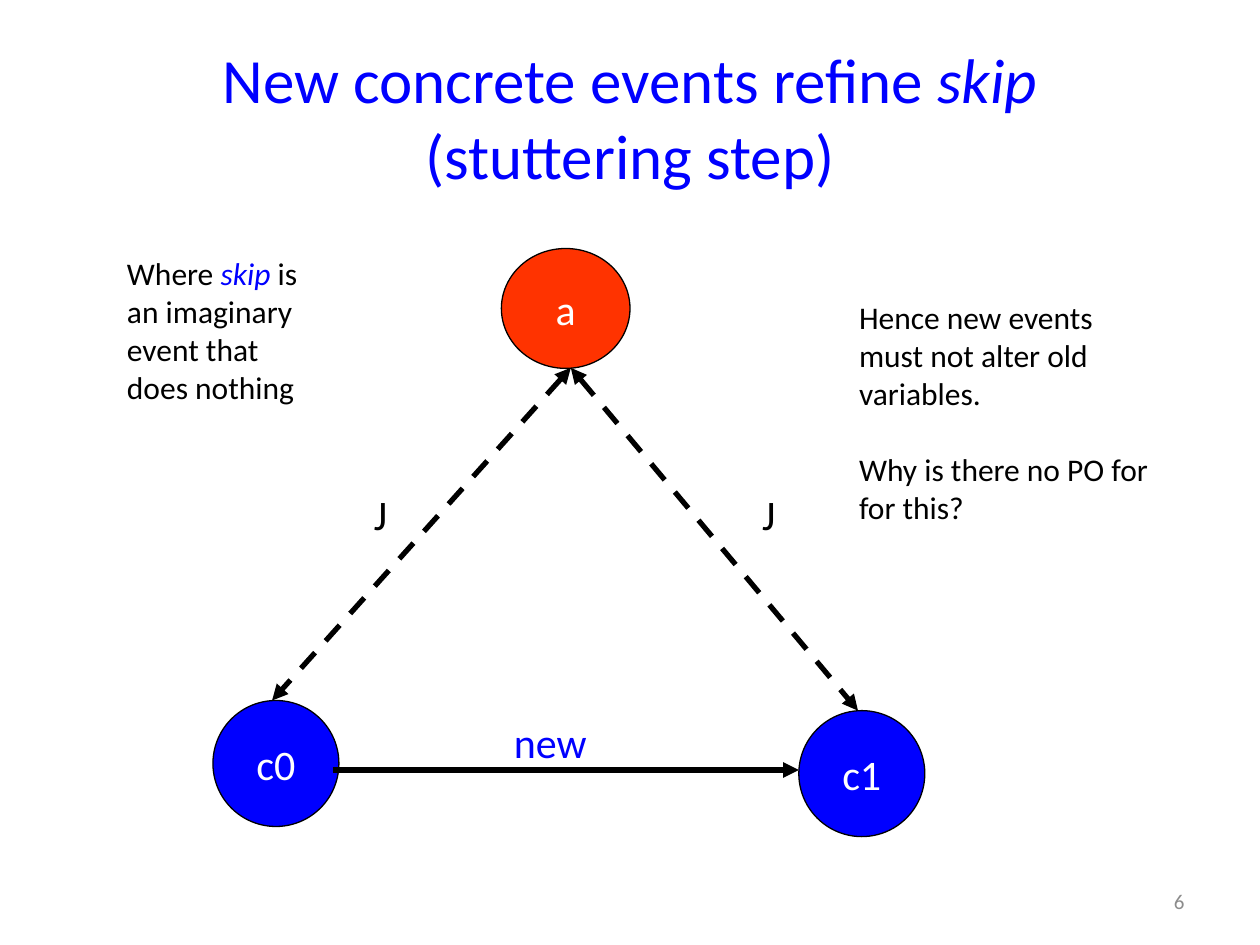
"""Build the slide on new concrete events that refine skip."""
from lxml.etree import SubElement
from pptx import Presentation
from pptx.dml.color import RGBColor
from pptx.enum.dml import MSO_LINE
from pptx.enum.shapes import MSO_CONNECTOR, MSO_SHAPE
from pptx.enum.text import MSO_ANCHOR, MSO_AUTO_SIZE, PP_ALIGN
from pptx.oxml.ns import qn
from pptx.util import Pt

COLORS = {"blue": "0000FF", "red": "FF3300", "black": "000000", "white": "FFFFFF", "gray": "8C8C8C"}


def rgb(name):
    return RGBColor.from_string(COLORS[name])


def write(paragraph, runs, size, color, align=PP_ALIGN.LEFT):
    paragraph.alignment = align
    paragraph.font.name = "Calibri"
    paragraph.font.size = Pt(size)
    paragraph.font.color.rgb = rgb(color)
    for text, italic in runs:
        run = paragraph.add_run()
        run.text = text
        if italic:
            run.font.italic = True
            run.font.color.rgb = rgb("blue")


prs = Presentation()
prs.slide_width, prs.slide_height = Pt(720), Pt(540)
slide = prs.slides.add_slide(prs.slide_layouts[5])
shapes = slide.shapes

title = shapes.title
title.left, title.top, title.width, title.height = Pt(36), Pt(21.6), Pt(648), Pt(90)
title.text_frame.vertical_anchor = MSO_ANCHOR.MIDDLE
heading = title.text_frame.paragraphs[0]
write(heading, [("New concrete events refine ", False), ("skip", True)], 36, "blue", PP_ALIGN.CENTER)
heading.add_line_break()
heading.add_run().text = "(stuttering step)"

states = [
    ("a", 286.5, 142, 73.5, 68.5, "red"),
    ("c0", 121.7, 400.3, 72, 72, "blue"),
    ("c1", 456.5, 406.1, 72, 72, "blue"),
]
for name, left, top, width, height, color in states:
    state = shapes.add_shape(MSO_SHAPE.OVAL, Pt(left), Pt(top), Pt(width), Pt(height))
    state.shadow.inherit = False
    state.fill.solid()
    state.fill.fore_color.rgb = rgb(color)
    state.line.color.rgb = rgb("black")
    state.line.width = Pt(0.75)
    state.text_frame.word_wrap = False
    state.text_frame.vertical_anchor = MSO_ANCHOR.MIDDLE
    write(state.text_frame.paragraphs[0], [(name, False)], 24, "white", PP_ALIGN.CENTER)

apex = (326.2, 210.2)
arrows = [
    ((190.1, 440), (456.5, 440), False),
    (apex, (155.5, 400.3), True),
    (apex, (490.3, 406.1), True),
]
for start, end, is_invariant in arrows:
    arrow = shapes.add_connector(MSO_CONNECTOR.STRAIGHT, *map(Pt, start + end))
    arrow.line.color.rgb = rgb("black")
    arrow.line.width = Pt(3)
    if is_invariant:
        arrow.line.dash_style = MSO_LINE.DASH
    for tip in ("headEnd", "tailEnd") if is_invariant else ("tailEnd",):
        SubElement(arrow.line._get_or_add_ln(), qn(f"a:{tip}"), type="triangle")
    SubElement(arrow._element.spPr, qn("a:effectLst"))

labels = [
    ("new", 286.5, 406.1, 56.9, "blue"),
    ("J", 206.6, 275.8, 26.6, "black"),
    ("J", 428.4, 275.8, 26.6, "black"),
]
for text, left, top, width, color in labels:
    label = shapes.add_textbox(Pt(left), Pt(top), Pt(width), Pt(36)).text_frame
    label.word_wrap = False
    label.auto_size = MSO_AUTO_SIZE.SHAPE_TO_FIT_TEXT
    write(label.paragraphs[0], [(text, False)], 24, color)

notes = [
    (483.8, 167, 181.4, 138.2, [
        [("Hence new events must not alter old variables.", False)],
        [("Why is there no PO for for this?", False)],
    ]),
    (65.5, 141.8, 112.3, 94.3, [
        [("Where ", False), ("skip", True), (" is an imaginary event that does nothing", False)],
    ]),
]
for left, top, width, height, paragraphs in notes:
    note = shapes.add_textbox(Pt(left), Pt(top), Pt(width), Pt(height)).text_frame
    note.word_wrap = True
    note.auto_size = MSO_AUTO_SIZE.SHAPE_TO_FIT_TEXT
    for index, runs in enumerate(paragraphs):
        paragraph = note.add_paragraph() if index else note.paragraphs[0]
        if index:
            paragraph.space_before = Pt(22)
        write(paragraph, runs, 18, "black")

page_number = shapes.add_textbox(Pt(516), Pt(500.5), Pt(168), Pt(28.8)).text_frame
page_number.word_wrap = True
page_number.vertical_anchor = MSO_ANCHOR.MIDDLE
write(page_number.paragraphs[0], [("6", False)], 12, "gray", PP_ALIGN.RIGHT)

prs.save("out.pptx")
